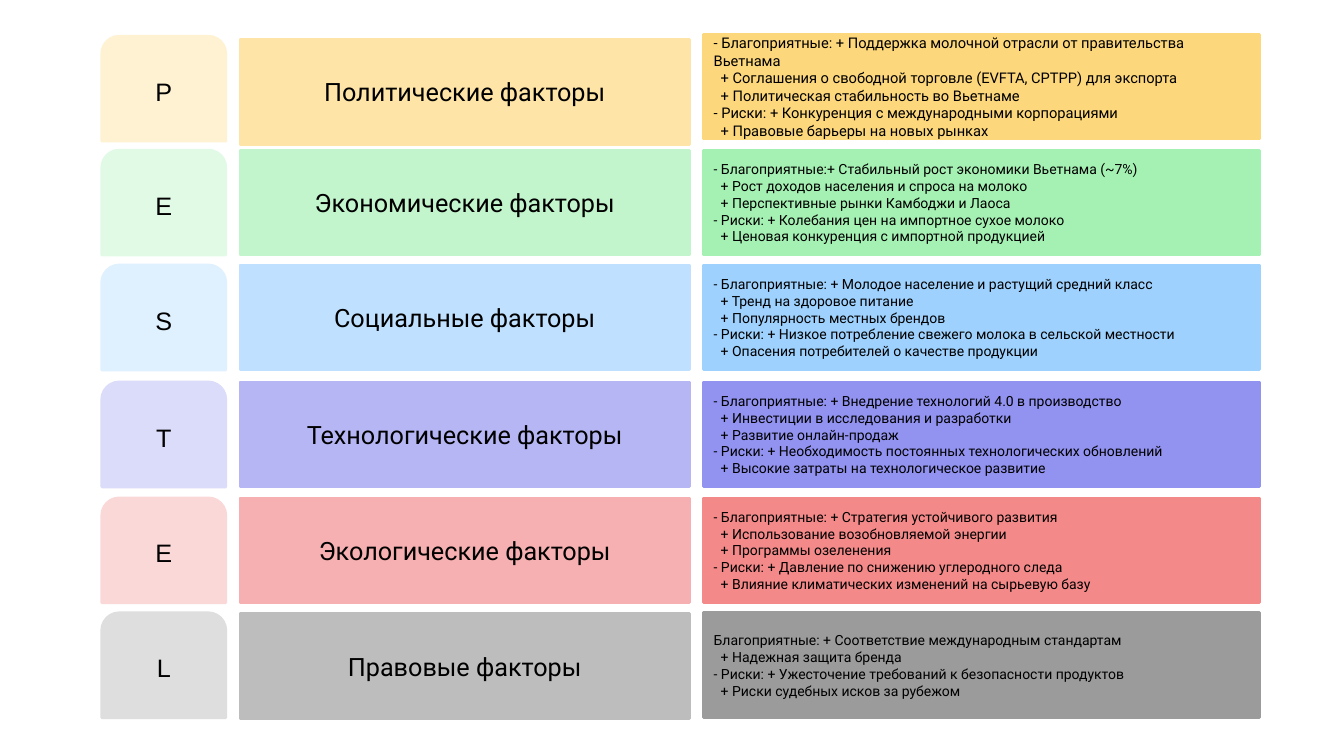
from dataclasses import dataclass

from pptx import Presentation
from pptx.dml.color import RGBColor
from pptx.enum.shapes import MSO_SHAPE
from pptx.enum.text import MSO_ANCHOR, PP_ALIGN
from pptx.util import Inches, Pt

TAB = MSO_SHAPE.ROUND_2_SAME_RECTANGLE
BAR = MSO_SHAPE.RECTANGLE
MIDDLE = MSO_ANCHOR.MIDDLE
CENTER = PP_ALIGN.CENTER
LEFT = PP_ALIGN.LEFT

COLORS = {
    "text": "000000",
    "political": ("FEF2D3", "FEE5A7", "FDD77C"),
    "economic": ("E1FAE6", "C3F5CD", "A5F1B3"),
    "social": ("DFF0FE", "BFE0FE", "9ED1FD"),
    "technological": ("DBDBFA", "B6B6F5", "9292F1"),
    "ecological": ("FBD8D8", "F7B0B1", "F48989"),
    "legal": ("DEDEDE", "BDBDBD", "9B9B9B"),
}

ROW_HEIGHT = 1.04
POINT_INDENT = 0.07


@dataclass
class Factor:
    palette: str
    letter: str
    title: str
    tops: tuple
    details: tuple
    detail_size: float = 10


FACTORS = (
    Factor("political", "P", "Политические факторы", (0.36, 0.39, 0.34), (
        "- Благоприятные: + Поддержка молочной отрасли от правительства Вьетнама",
        "+ Соглашения о свободной торговле (EVFTA, CPTPP) для экспорта",
        "+ Политическая стабильность во Вьетнаме",
        "- Риски: + Конкуренция с международными корпорациями",
        "+ Правовые барьеры на новых рынках",
    ), 10.5),
    Factor("economic", "E", "Экономические факторы", (1.49, 1.49, 1.49), (
        "- Благоприятные:+ Стабильный рост экономики Вьетнама (~7%)",
        "+ Рост доходов населения и спроса на молоко",
        "+ Перспективные рынки Камбоджи и Лаоса",
        "- Риски: + Колебания цен на импортное сухое молоко",
        "+ Ценовая конкуренция с импортной продукцией",
    )),
    Factor("social", "S", "Социальные факторы", (2.63, 2.63, 2.63), (
        "- Благоприятные: + Молодое население и растущий средний класс",
        "+ Тренд на здоровое питание",
        "+ Популярность местных брендов",
        "- Риски: + Низкое потребление свежего молока в сельской местности",
        "+ Опасения потребителей о качестве продукции",
    )),
    Factor("technological", "T", "Технологические факторы", (3.79, 3.79, 3.79), (
        "- Благоприятные: + Внедрение технологий 4.0 в производство",
        "+ Инвестиции в исследования и разработки",
        "+ Развитие онлайн-продаж",
        "- Риски: + Необходимость постоянных технологических обновлений",
        "+ Высокие затраты на технологическое развитие",
    )),
    Factor("ecological", "E", "Экологические факторы", (4.94, 4.94, 4.94), (
        "- Благоприятные: + Стратегия устойчивого развития",
        "+ Использование возобновляемой энергии",
        "+ Программы озеленения",
        "- Риски: + Давление по снижению углеродного следа",
        "+ Влияние климатических изменений на сырьевую базу",
    )),
    Factor("legal", "L", "Правовые факторы", (6.08, 6.09, 6.08), (
        "Благоприятные: + Соответствие международным стандартам",
        "+ Надежная защита бренда",
        "- Риски: + Ужесточение требований к безопасности продуктов",
        "+ Риски судебных исков за рубежом",
    )),
)


class PestelSlide:
    def __init__(self, deck):
        self.slide = deck.slides.add_slide(deck.slide_layouts[6])

    def panel(self, geometry, left, top, width, color):
        panel = self.slide.shapes.add_shape(
            geometry, Inches(left), Inches(top), Inches(width), Inches(ROW_HEIGHT))
        panel.shadow.inherit = False
        panel.fill.solid()
        panel.line.width = Pt(2)
        for paint in (panel.fill.fore_color, panel.line.color):
            paint.rgb = RGBColor.from_string(color)
        for name, value in {"word_wrap": True, "vertical_anchor": MIDDLE}.items():
            setattr(panel.text_frame, name, value)
        return panel.text_frame

    def add_lines(self, frame, lines, font, size, align):
        for index, line in enumerate(lines):
            paragraph = frame.add_paragraph() if index else frame.paragraphs[0]
            if line.startswith("+"):
                paragraph._p.get_or_add_pPr().set("marL", str(Inches(POINT_INDENT)))
            paragraph.text = line
            paragraph.alignment = align
            for name, value in {"name": font, "size": Pt(size)}.items():
                setattr(paragraph.font, name, value)
            paragraph.font.color.rgb = RGBColor.from_string(COLORS["text"])

    def letter(self, factor):
        frame = self.panel(TAB, 1.01, factor.tops[0], 1.23, COLORS[factor.palette][0])
        self.add_lines(frame, [factor.letter], "Arial", 18, CENTER)

    def title(self, factor):
        frame = self.panel(BAR, 2.38, factor.tops[1], 4.46, COLORS[factor.palette][1])
        self.add_lines(frame, [factor.title], "Roboto", 18, CENTER)

    def details(self, factor):
        frame = self.panel(BAR, 6.98, factor.tops[2], 5.51, COLORS[factor.palette][2])
        self.add_lines(frame, factor.details, "Roboto", factor.detail_size, LEFT)


def main():
    deck = Presentation()
    deck.slide_width = Inches(13.33)
    deck.slide_height = Inches(7.5)
    pestel = PestelSlide(deck)
    for draw_column in (pestel.letter, pestel.title, pestel.details):
        for factor in FACTORS:
            draw_column(factor)
    deck.save("out.pptx")


if __name__ == "__main__":
    main()
